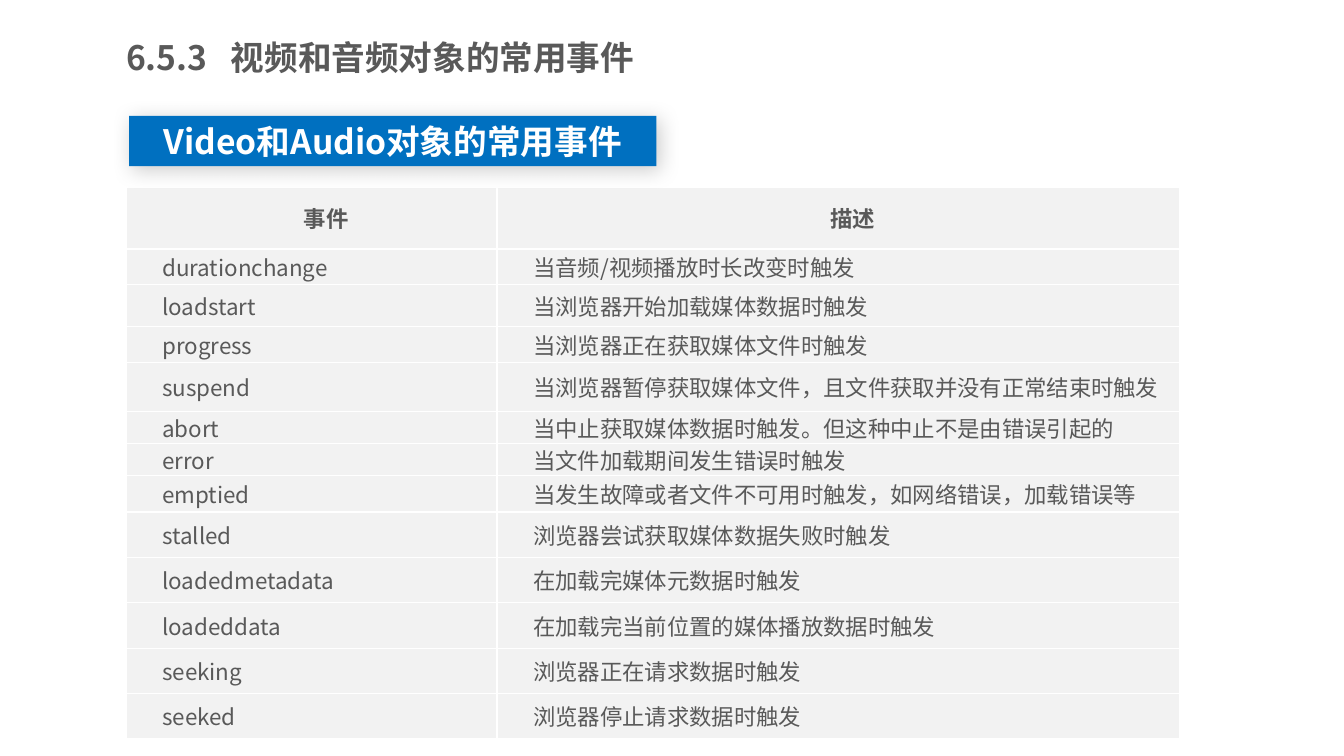
"""Build the slide listing the common events of video and audio objects."""
from dataclasses import dataclass

from lxml.etree import SubElement
from pptx import Presentation
from pptx.dml.color import RGBColor
from pptx.enum.shapes import MSO_SHAPE
from pptx.enum.text import MSO_ANCHOR as Anchor, MSO_AUTO_SIZE as AutoSize, PP_ALIGN as Align
from pptx.oxml import parse_xml
from pptx.oxml.ns import nsdecls, qn
from pptx.util import Inches, Pt


@dataclass(frozen=True)
class Theme:
    """Colours, font and type sizes of the slide."""
    font: str = "Noto Sans CJK SC"
    text: str = "595959"
    accent: str = "0070C0"
    light: str = "FFFFFF"
    cell: str = "F2F2F2"
    heading_size: int = 24
    table_size: int = 16


@dataclass(frozen=True)
class EventRow:
    """One table row with its height in inches."""
    event: str
    description: str
    height: float = 0.45


THEME = Theme()
COLUMN_WIDTHS = (3.68, 6.77)
ROWS = (
    EventRow("事件", "描述", 0.61),
    EventRow("durationchange", "当音频/视频播放时长改变时触发", 0.35),
    EventRow("loadstart", "当浏览器开始加载媒体数据时触发", 0.42),
    EventRow("progress", "当浏览器正在获取媒体文件时触发", 0.36),
    EventRow("suspend", "当浏览器暂停获取媒体文件，且文件获取并没有正常结束时触发", 0.48),
    EventRow("abort", "当中止获取媒体数据时触发。但这种中止不是由错误引起的", 0.25),
    EventRow("error", "当文件加载期间发生错误时触发", 0.3),
    EventRow("emptied", "当发生故障或者文件不可用时触发，如网络错误，加载错误等", 0.36),
    EventRow("stalled", "浏览器尝试获取媒体数据失败时触发"),
    EventRow("loadedmetadata", "在加载完媒体元数据时触发"),
    EventRow("loadeddata", "在加载完当前位置的媒体播放数据时触发"),
    EventRow("seeking", "浏览器正在请求数据时触发"),
    EventRow("seeked", "浏览器停止请求数据时触发"),
)


def style_paragraph(paragraph, size: int, color: str, bold: bool, align: Align) -> None:
    """Set the font, colour and alignment of a paragraph."""
    paragraph.alignment = align
    font = paragraph.font
    font.name, font.size, font.bold = THEME.font, Pt(size), bold
    font.color.rgb = RGBColor.from_string(color)
    defaults = paragraph._p.get_or_add_pPr().find(qn("a:defRPr"))
    SubElement(defaults, qn("a:ea"), typeface=THEME.font)


def add_title(slide) -> None:
    """Fill the title placeholder, with a tab stop after the section number."""
    title = slide.shapes.title
    title.left, title.top = Inches(1.25), Inches(0.29)
    title.width, title.height = Inches(5.26), Inches(0.55)
    frame = title.text_frame
    frame.word_wrap, frame.auto_size = True, AutoSize.NONE
    frame.vertical_anchor = Anchor.MIDDLE
    frame.margin_left = frame.margin_right = 0
    frame.margin_top = frame.margin_bottom = Inches(0.07)
    paragraph = frame.paragraphs[0]
    paragraph.text = "6.5.3\t视频和音频对象的常用事件"
    style_paragraph(paragraph, THEME.heading_size, THEME.text, True, Align.LEFT)
    paragraph._p.pPr.insert(0, parse_xml(
        f'<a:tabLst {nsdecls("a")}><a:tab pos="{Inches(1.04)}" algn="l"/></a:tabLst>'))


def add_banner(slide) -> None:
    """Draw the blue subtitle banner with its soft shadow."""
    banner = slide.shapes.add_shape(
        MSO_SHAPE.RECTANGLE, Inches(1.28), Inches(1.15), Inches(5.23), Inches(0.5))
    banner.fill.solid()
    banner.fill.fore_color.rgb = RGBColor.from_string(THEME.accent)
    banner.line.fill.background()
    banner.shadow.inherit = False
    effects = banner._element.spPr.find(qn("a:effectLst"))
    effects.append(parse_xml(
        f'<a:outerShdw {nsdecls("a")} blurRad="{Pt(15)}" dist="{Pt(3)}" dir="2700000" '
        'algn="tl" rotWithShape="0"><a:srgbClr val="000000"><a:alpha val="20000"/>'
        '</a:srgbClr></a:outerShdw>'))
    frame = banner.text_frame
    frame.word_wrap, frame.auto_size = True, AutoSize.SHAPE_TO_FIT_TEXT
    frame.vertical_anchor = Anchor.MIDDLE
    paragraph = frame.paragraphs[0]
    paragraph.text = "Video和Audio对象的常用事件"
    style_paragraph(paragraph, THEME.heading_size, THEME.light, True, Align.CENTER)


def fill_cell(cell, text: str, is_header: bool) -> None:
    """Write one table cell with its fill, indent and white borders."""
    cell.fill.solid()
    cell.fill.fore_color.rgb = RGBColor.from_string(THEME.cell)
    cell.vertical_anchor = Anchor.MIDDLE
    cell.margin_left = cell.margin_right = Inches(0.07)
    cell.margin_top = cell.margin_bottom = 0
    paragraph = cell.text_frame.paragraphs[0]
    paragraph.text = text
    align = Align.CENTER if is_header else Align.LEFT
    style_paragraph(paragraph, THEME.table_size, THEME.text, is_header, align)
    properties = paragraph._p.pPr
    properties.set("marL", "0")
    properties.set("indent", str(Inches(0.29)))
    for position, side in enumerate(("lnL", "lnR", "lnT", "lnB")):
        cell._tc.tcPr.insert(position, parse_xml(
            f'<a:{side} {nsdecls("a")} w="{Pt(1)}"><a:solidFill>'
            f'<a:srgbClr val="{THEME.light}"/></a:solidFill></a:{side}>'))


def add_event_table(slide) -> None:
    """Add the table of events and descriptions."""
    width, height = sum(COLUMN_WIDTHS), sum(row.height for row in ROWS)
    table = slide.shapes.add_table(
        len(ROWS), len(COLUMN_WIDTHS), Inches(1.25), Inches(1.86),
        Inches(width), Inches(height)).table
    table.first_row = table.horz_banding = False
    for column, column_width in zip(table.columns, COLUMN_WIDTHS):
        column.width = Inches(column_width)
    for index, row in enumerate(ROWS):
        table.rows[index].height = Inches(row.height)
        for column, text in enumerate((row.event, row.description)):
            fill_cell(table.cell(index, column), text, index == 0)


def main() -> None:
    """Create the presentation and save it."""
    presentation = Presentation()
    presentation.slide_width, presentation.slide_height = Inches(13.33), Inches(7.5)
    slide = presentation.slides.add_slide(presentation.slide_layouts[5])
    add_event_table(slide)
    add_title(slide)
    add_banner(slide)
    presentation.save("out.pptx")


if __name__ == "__main__":
    main()
